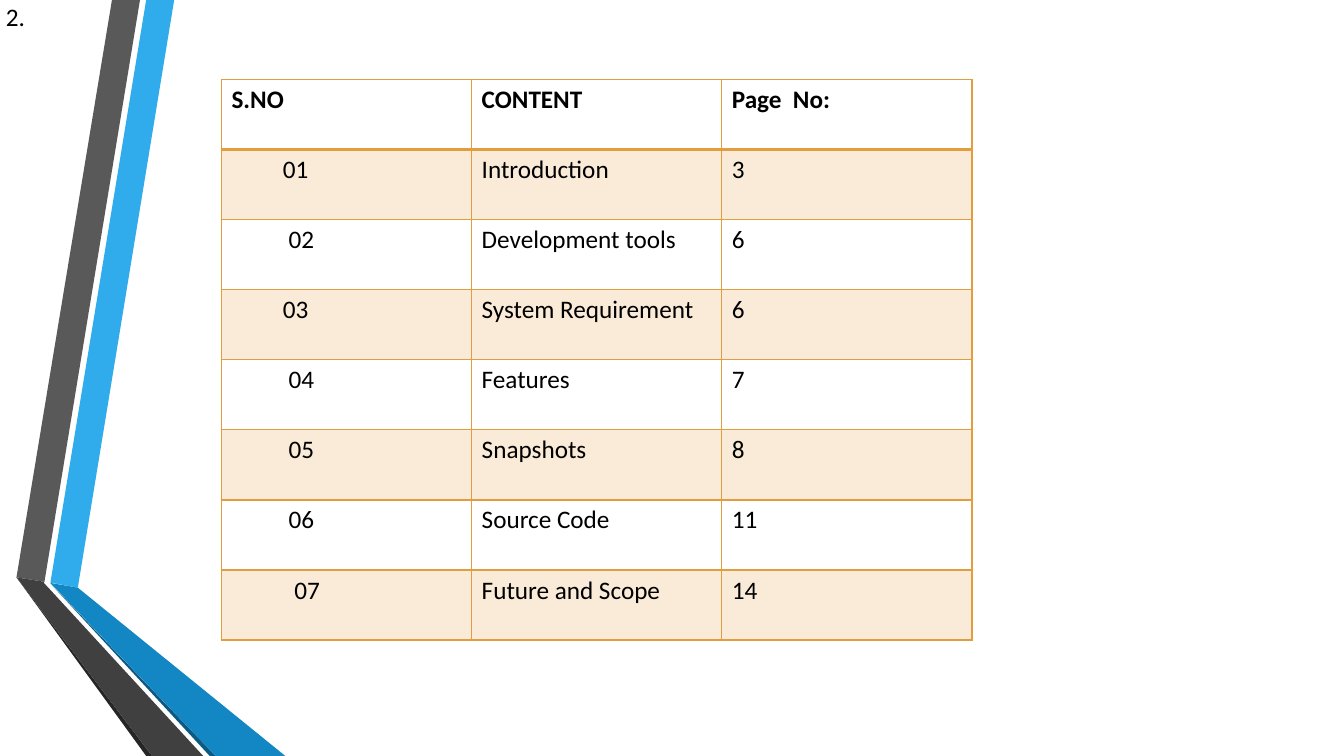
from dataclasses import dataclass

from lxml.etree import SubElement
from pptx import Presentation
from pptx.dml.color import RGBColor as RGB
from pptx.oxml.ns import qn
from pptx.util import Pt


@dataclass(frozen=True)
class Theme:
    font: str = "Calibri"
    size: float = 18
    ink: str = "000000"
    accent: str = "E29D3E"
    band_alpha: int = 20
    rule: float = 1
    header_rule: float = 2
    blue: str = "30ACEC"
    blue_fold: str = "1287C3"
    blue_edge: str = "0C5A82"
    grey: str = "595959"
    grey_fold: str = "404040"
    grey_edge: str = "262626"


THEME = Theme()

# Ribbon outlines, back to front, in points
RIBBONS = [
    (THEME.blue, [(36, 416.2), (55.6, 419.8), (124.4, 0), (104.4, 0)]),
    (THEME.grey, [(100, 0), (80, 0), (11.8, 412.4), (31.8, 415.6)]),
    (THEME.grey_edge, [(11.8, 412.4), (104.5, 540), (108.7, 540)]),
    (THEME.blue_edge, [(36, 416.8), (149.8, 540), (154, 540)]),
    (THEME.blue_fold, [(36, 416.4), (154, 540), (203.8, 540), (55.6, 419.8)]),
    (THEME.grey_fold, [(145.2, 540), (34.6, 419.8), (31.2, 416.2),
                       (31.8, 415.6), (11.8, 412.4), (108.7, 540)]),
]

HEADINGS = ["S.NO", "CONTENT", "Page  No:"]
CONTENTS = [
    ("01", "Introduction", "3"),
    ("02", "Development tools", "6"),
    ("03", "System Requirement", "6"),
    ("04", "Features", "7"),
    ("05", "Snapshots", "8"),
    ("06", "Source Code", "11"),
    ("07", "Future and Scope", "14"),
]
NUMBER_INDENTS = [36.6, 40.7, 36.6, 40.7, 40.7, 40.7, 44.8]

TABLE_LEFT, TABLE_TOP = 158.2, 56.9
COLUMN_WIDTH, ROW_HEIGHT = 178.7, 50.05


def write(frame, text, bold=False, indent=0):
    paragraph = frame.paragraphs[0]
    paragraph.text = text
    font = paragraph.font
    font.name, font.size, font.bold = THEME.font, Pt(THEME.size), bold
    font.color.rgb = RGB.from_string(THEME.ink)
    if indent:
        properties = paragraph._p.get_or_add_pPr()
        properties.set("marL", str(Pt(indent)))
        properties.set("indent", "0")


def add_ribbon(slide, color, corners):
    start, *rest = [(Pt(x), Pt(y)) for x, y in corners]
    outline = slide.shapes.build_freeform(*start)
    outline.add_line_segments(rest, close=True)
    ribbon = outline.convert_to_shape()
    ribbon.shadow.inherit = False
    ribbon.fill.solid()
    ribbon.fill.fore_color.rgb = RGB.from_string(color)
    ribbon.line.fill.background()


def add_slide_number(slide):
    box = slide.shapes.add_textbox(Pt(-2.9), Pt(-2.9), Pt(41.8), Pt(28.8))
    box.text_frame.word_wrap = True
    write(box.text_frame, "2.")


def draw_borders(cell, top, bottom):
    properties = cell._tc.get_or_add_tcPr()
    widths = {"L": THEME.rule, "R": THEME.rule, "T": top, "B": bottom}
    for position, (side, width) in enumerate(widths.items()):
        border = SubElement(properties, qn(f"a:ln{side}"), w=str(Pt(width)))
        fill = SubElement(border, qn("a:solidFill"))
        SubElement(fill, qn("a:srgbClr"), val=THEME.accent)
        properties.insert(position, border)


def fill_band(cell, banded):
    if not banded:
        cell.fill.background()
        return
    cell.fill.solid()
    cell.fill.fore_color.rgb = RGB.from_string(THEME.accent)
    tint = cell._tc.tcPr.find(f"{qn('a:solidFill')}/{qn('a:srgbClr')}")
    SubElement(tint, qn("a:alpha"), val=str(THEME.band_alpha * 1000))


def add_contents_table(slide):
    entries = [HEADINGS, *CONTENTS]
    rows, columns = len(entries), len(HEADINGS)
    table = slide.shapes.add_table(
        rows, columns, Pt(TABLE_LEFT), Pt(TABLE_TOP),
        Pt(COLUMN_WIDTH * columns), Pt(ROW_HEIGHT * rows)).table
    table.horz_banding = False
    for column in table.columns:
        column.width = Pt(COLUMN_WIDTH)
    for row in table.rows:
        row.height = Pt(ROW_HEIGHT)

    for r, entry in enumerate(entries):
        top = THEME.header_rule if r == 1 else THEME.rule
        bottom = THEME.header_rule if r == 0 else THEME.rule
        for c, text in enumerate(entry):
            cell = table.cell(r, c)
            indent = NUMBER_INDENTS[r - 1] if r and c == 0 else 0
            write(cell.text_frame, text, bold=r == 0, indent=indent)
            fill_band(cell, banded=r % 2 == 1)
            draw_borders(cell, top, bottom)


def main():
    deck = Presentation()
    deck.slide_width, deck.slide_height = Pt(960), Pt(540)
    slide = deck.slides.add_slide(deck.slide_layouts[6])

    # Folded ribbons along the left edge
    for color, corners in RIBBONS:
        add_ribbon(slide, color, corners)

    # Slide number and table of contents
    add_slide_number(slide)
    add_contents_table(slide)

    deck.save("out.pptx")


if __name__ == "__main__":
    main()
